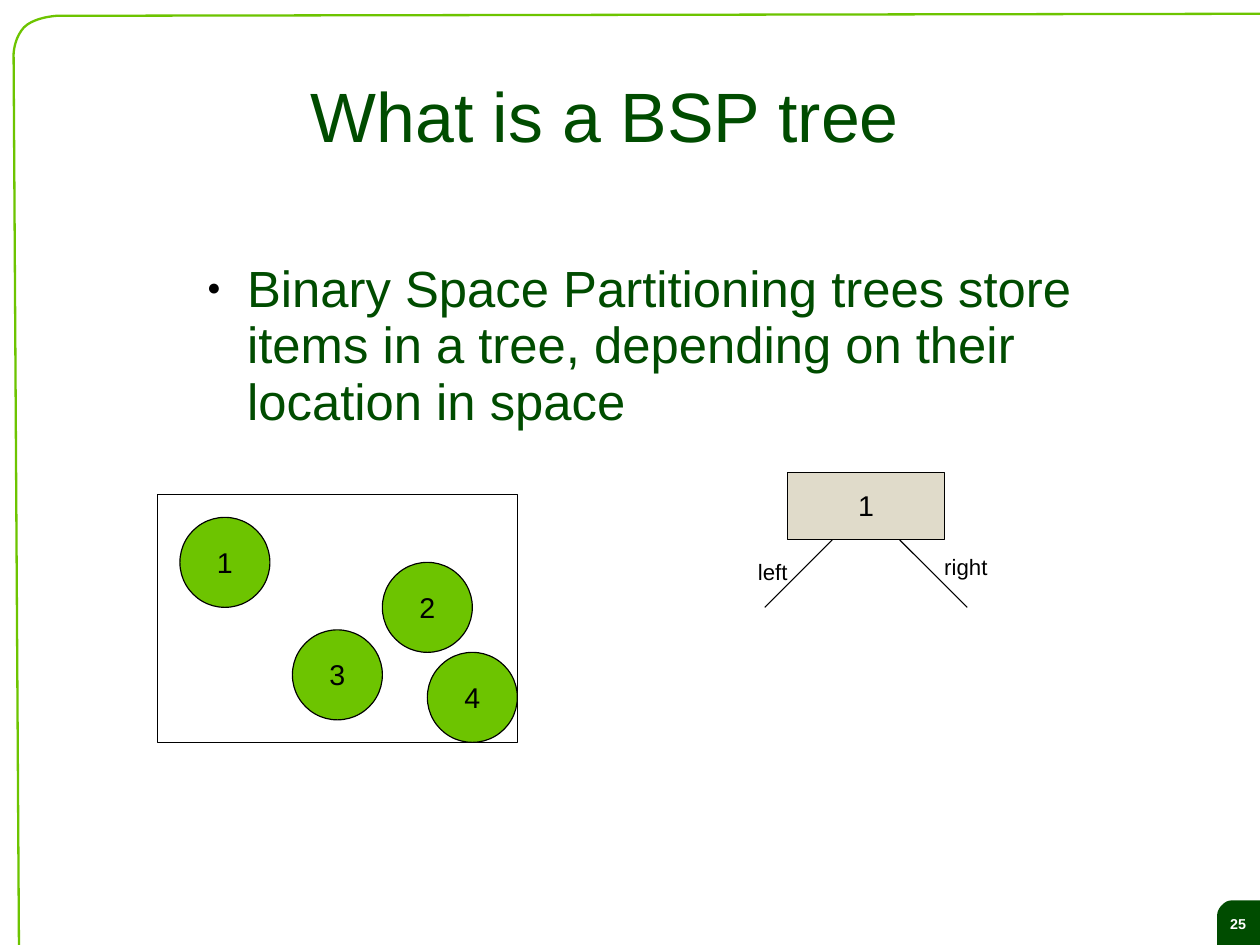
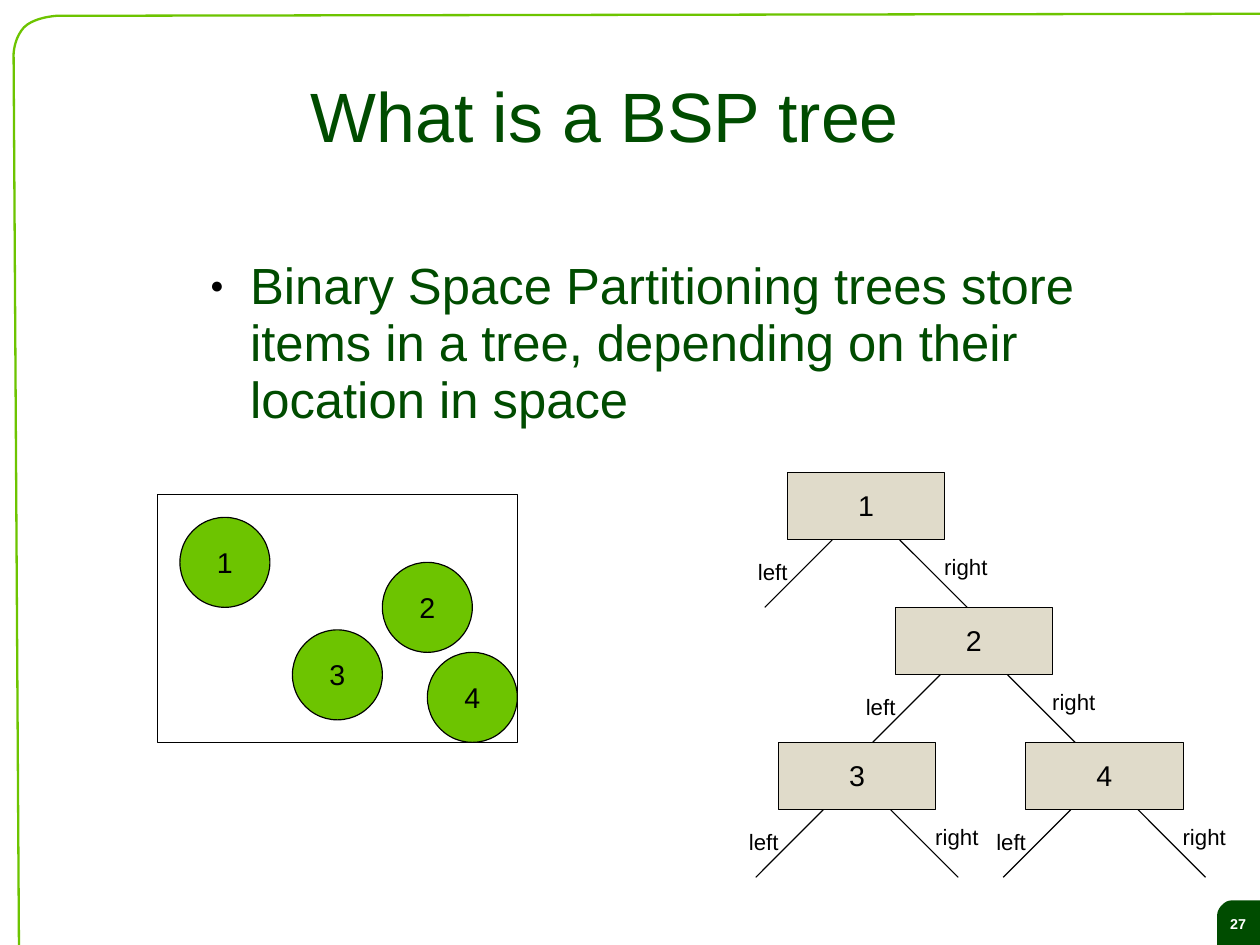
import pptx
import pptx.util
import pptx.dml.color
import pptx.enum.text
import pptx.enum.shapes
import pptx.oxml
import pptx.oxml.ns

Pt = pptx.util.Pt
KIND = pptx.enum.shapes.MSO_SHAPE
ALIGN = pptx.enum.text.PP_ALIGN
ANCHOR = pptx.enum.text.MSO_ANCHOR

# Content
TITLE = "What is a BSP tree"
POINT = ("Binary Space Partitioning trees store items in a tree, "
         "depending on their location in space")
# Label, column and row, in grid units
BALLS = [("1", 8, 23), ("2", 17, 25), ("3", 13, 28), ("4", 19, 29)]
NODES = [("1", 35, 21), ("2", 39.8, 27), ("3", 34.6, 33), ("4", 45.6, 33)]
PAGES = [
    {"num": "25", "body": (121.7, 162.7), "nodes": NODES[:1]},
    {"num": "27", "body": (123.5, 161.3), "nodes": NODES},
]

# Style
WIDE, HIGH = 793.75, 595.25
UNIT = 14.17  # 5 mm grid
DARK, GREEN, SAND = "004C00", "6DC400", "E0DBCA"
BLACK, WHITE = "000000", "FFFFFF"


def color(code):
    return pptx.dml.color.RGBColor.from_string(code)


def write(shape, text, size=18, ink=BLACK, bold=False, align=ALIGN.CENTER,
          anchor=ANCHOR.MIDDLE, pad=(7.2, 5, 7.2, 3.6), wrap=True):
    frame = shape.text_frame
    frame.auto_size = pptx.enum.text.MSO_AUTO_SIZE.NONE
    frame.word_wrap = wrap
    frame.vertical_anchor = anchor
    (frame.margin_left, frame.margin_top,
     frame.margin_right, frame.margin_bottom) = map(Pt, pad)
    para = frame.paragraphs[0]
    para.alignment = align
    para.line_spacing = 0.93
    run = para.add_run()
    run.text = text
    font = run.font
    font.name, font.size, font.bold = "Arial", Pt(size), bold
    font.color.rgb = color(ink)
    return para


def paint(shape, fill=None, line=None, width=0.75):
    shape.shadow.inherit = False
    if fill:
        shape.fill.solid()
        shape.fill.fore_color.rgb = color(fill)
    else:
        shape.fill.background()
    if line:
        shape.line.color.rgb = color(line)
        shape.line.width = Pt(width)
    else:
        shape.line.fill.background()
    return shape


def block(slide, kind, box, fill=None):
    shape = slide.shapes.add_shape(kind, *map(Pt, box))
    return paint(shape, fill, BLACK)


def label(slide, box, text, **style):
    return write(slide.shapes.add_textbox(*map(Pt, box)), text, **style)


def link(slide, *ends):
    line = slide.shapes.add_connector(
        pptx.enum.shapes.MSO_CONNECTOR.STRAIGHT, *map(Pt, ends))
    line.line.color.rgb = color(BLACK)
    line.line.width = Pt(0.75)
    line._element.spPr.append(
        pptx.oxml.parse_xml("<a:effectLst %s/>" % pptx.oxml.ns.nsdecls("a")))


def curve(a, b, c, d, steps=10):
    """Points along a cubic Bezier from a to d."""
    spots = []
    for i in range(steps + 1):
        t = i / steps
        parts = ((1 - t) ** 3, 3 * t * (1 - t) ** 2, 3 * t * t * (1 - t), t ** 3)
        spots.append(tuple(sum(k * p[n] for k, p in zip(parts, (a, b, c, d)))
                           for n in (0, 1)))
    return spots


def outline(slide, spots, close):
    spots = [(Pt(x), Pt(y)) for x, y in spots]
    draft = slide.shapes.build_freeform(*spots[0], scale=1.0)
    draft.add_line_segments(spots[1:], close=close)
    return draft.convert_to_shape()


# Shared frame, page tab and title
def base(slide, num):
    edge = [(WIDE, 8.7)]
    edge += curve((36, 10), (35.3, 10), (21.6, 10.8), (15.1, 17.3))
    edge += curve((15.1, 17.3), (8.6, 24.5), (8.6, 34.6), (8.6, 34.6))
    edge += [(12, HIGH)]
    paint(outline(slide, edge, False), line=GREEN, width=1.45)

    left, top = 766.8, 567.2
    edge = [(WIDE, top)]
    edge += curve((777, top), (774.7, top), (772.6, top), (769.7, 570.2))
    edge += curve((769.7, 570.2), (left, 573.1), (left, 576), (left, 576.7))
    edge += [(left, HIGH), (WIDE, HIGH)]
    tab = paint(outline(slide, edge, True), DARK)
    write(tab, num, size=9, ink=WHITE, bold=True, pad=(0, 3, 0.6, 0))

    head = slide.shapes.title
    head.left, head.top, head.width, head.height = map(
        Pt, (123.6, 27.4, 515.5, 92.2))
    write(head, TITLE, size=44, ink=DARK, pad=(0, 2.9, 0, 0))


def bullet(slide, left, top):
    para = label(slide, (left, top, 633, 386), POINT, size=32, ink=DARK,
                 align=ALIGN.LEFT, anchor=ANCHOR.TOP, pad=(0, 2.2, 0, 0))
    para.space_after = Pt(14.3)
    props = para._p.get_or_add_pPr()
    props.set("marL", str(Pt(34)))
    props.set("indent", str(Pt(-25.2)))
    for part in ('buClr %s><a:srgbClr val="000000"/></a:buClr>',
                 'buSzPct %s val="45000"/>',
                 'buFont %s typeface="Arial"/>',
                 'buChar %s char="●"/>'):
        props.append(pptx.oxml.parse_xml(
            "<a:" + part % pptx.oxml.ns.nsdecls("a")))


def space(slide):
    block(slide, KIND.RECTANGLE, [n * UNIT for n in (7, 22, 16, 11)])
    for name, col, row in BALLS:
        box = [n * UNIT for n in (col, row, 4, 4)]
        write(block(slide, KIND.OVAL, box, GREEN), name)


def node(slide, name, col, row):
    x, y = col * UNIT, row * UNIT
    box = (x, y, 7 * UNIT, 3 * UNIT)
    write(block(slide, KIND.RECTANGLE, box, SAND), name)
    low = y + 3 * UNIT
    # Side, leg start and end in units, label offset and width
    for side, start, end, dx, dy, wide in (("left", 2, -1, -25.6, 51, 33),
                                           ("right", 5, 8, 91.8, 48, 42)):
        link(slide, x + start * UNIT, low, x + end * UNIT, low + 3 * UNIT)
        label(slide, (x + dx, y + dy, wide, 23), side, size=14,
              align=ALIGN.LEFT, anchor=ANCHOR.TOP,
              pad=(7.2, 4.3, 7.2, 3.6), wrap=False)


def main():
    deck = pptx.Presentation()
    deck.slide_width, deck.slide_height = Pt(WIDE), Pt(HIGH)
    for page in PAGES:
        slide = deck.slides.add_slide(deck.slide_layouts[5])
        base(slide, page["num"])
        bullet(slide, *page["body"])
        for item in page["nodes"]:
            node(slide, *item)
        space(slide)
    deck.save("out.pptx")


if __name__ == "__main__":
    main()
